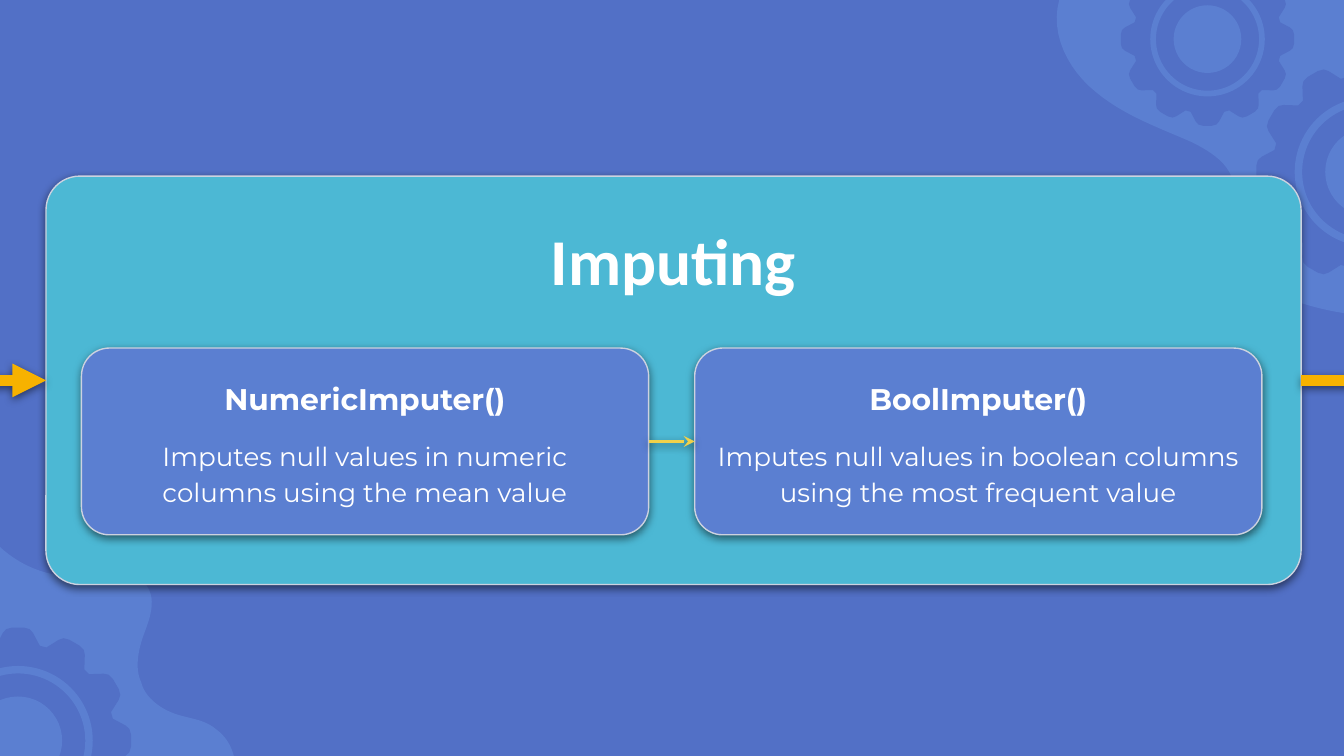
from math import cos, radians, sin

from lxml.etree import SubElement
from pptx import Presentation
from pptx.dml.color import RGBColor
from pptx.enum.shapes import MSO_CONNECTOR, MSO_SHAPE
from pptx.enum.text import MSO_ANCHOR, MSO_AUTO_SIZE, PP_ALIGN
from pptx.oxml.ns import qn
from pptx.util import Cm, Pt

INDIGO = RGBColor(0x52, 0x70, 0xC6)
PERIWINKLE = RGBColor(0x5B, 0x7F, 0xD1)
TEAL = RGBColor(0x4C, 0xB8, 0xD4)
SILVER = RGBColor(0xCC, 0xD2, 0xE0)
ORANGE = RGBColor(0xF7, 0xB2, 0x00)
YELLOW = RGBColor(0xF0, 0xD1, 0x4A)
WHITE = RGBColor(0xFF, 0xFF, 0xFF)

WIDTH, HEIGHT = 25.4, 14.29
PANEL = (0.87, 3.33, 23.72, 7.72)
CARD_LEFTS, CARD_TOP, CARD_WIDTH, CARD_HEIGHT = (1.54, 13.13), 6.58, 10.72, 3.53
CARDS = [
    ("NumericImputer()", "Imputes null values in numeric columns using the mean value"),
    ("BoolImputer()", "Imputes null values in boolean columns using the most frequent value"),
]

# Each curve: two control points and an end point, in cm.
TOP_BLOB = [
    ((19.84, 0.64), (20.19, 1.32), (20.7, 1.73)),
    ((21.23, 2.18), (21.89, 2.41), (22.53, 2.69)),
    ((22.89, 2.87), (23.29, 3.12), (23.32, 3.53)),
    ((23.34, 3.86), (23.09, 4.17), (23.09, 4.5)),
    ((23.09, 4.95), (23.52, 5.28), (23.93, 5.46)),
    ((24.38, 5.69), (24.89, 5.84), (WIDTH, 5.92)),
]
BOTTOM_BLOB = [
    ((4.37, 14.1), (4.27, 13.92), (4.09, 13.79)),
    ((3.86, 13.59), (3.58, 13.59), (3.3, 13.49)),
    ((3.02, 13.39), (2.74, 13.18), (2.67, 12.9)),
    ((2.54, 12.62), (2.62, 12.27), (2.72, 11.99)),
    ((2.84, 11.68), (2.95, 11.35), (2.79, 11.1)),
    ((2.67, 10.87), (2.46, 10.82), (2.21, 10.82)),
    ((1.93, 10.82), (1.7, 10.9), (1.45, 10.9)),
    ((0.84, 10.9), (0.36, 10.67), (0, 10.34)),
]
GEARS = [(25.88, 3.25, 2.14), (22.82, 0.74, 1.64), (0.34, 14, 2.14)]
TEETH = 12
# Angle from the tooth's middle, and distance as a share of the radius.
TOOTH = [(-13, 0.86), (-8, 0.96), (-6, 0.99), (-3, 1), (3, 1), (6, 0.99), (8, 0.96), (13, 0.86)]


def paint(shape, color):
    shape.shadow.inherit = False
    shape.fill.solid()
    shape.fill.fore_color.rgb = color
    shape.line.fill.background()


def add_outline(page, points, color):
    start, *rest = [(Cm(x), Cm(y)) for x, y in points]
    builder = page.shapes.build_freeform(*start)
    builder.add_line_segments(rest, close=True)
    paint(builder.convert_to_shape(), color)


def add_blob(page, start, curves, corner):
    """Sample the cubic curves from start, then close through the slide corner."""
    points = [start]
    for first, second, end in curves:
        begin = points[-1]
        for step in range(1, 13):
            t = step / 12
            weights = ((1 - t) ** 3, 3 * t * (1 - t) ** 2, 3 * t * t * (1 - t), t ** 3)
            points.append(tuple(
                sum(weight * value for weight, value in zip(weights, values))
                for values in zip(begin, first, second, end)))
    add_outline(page, points + [corner], PERIWINKLE)


def add_round(page, kind, x, y, radius):
    shape = page.shapes.add_shape(
        kind, Cm(x - radius), Cm(y - radius), Cm(2 * radius), Cm(2 * radius))
    paint(shape, PERIWINKLE)
    return shape


def add_gear(page, x, y, radius):
    points = []
    for tooth in range(TEETH):
        for offset, share in TOOTH:
            angle = radians(tooth * 360 / TEETH + offset)
            points.append((x + radius * share * sin(angle), y - radius * share * cos(angle)))
    add_outline(page, points, INDIGO)
    ring = add_round(page, MSO_SHAPE.DONUT, x, y, radius * 0.66)
    ring.adjustments[0] = 0.05
    add_round(page, MSO_SHAPE.OVAL, x, y, radius * 0.39)


def add_shadow(shape):
    """Put a soft shadow below; call it once the line is set."""
    properties = shape._element.spPr
    effects = properties.find(qn("a:effectLst"))
    if effects is None:
        effects = SubElement(properties, qn("a:effectLst"))
    shadow = SubElement(effects, qn("a:outerShdw"), blurRad=str(Pt(4.5)),
                        dist=str(Pt(1.5)), dir="5400000", algn="bl", rotWithShape="0")
    color = SubElement(shadow, qn("a:srgbClr"), val="000000")
    SubElement(color, qn("a:alpha"), val="50000")


def add_panel(page, bounds, color, corner):
    panel = page.shapes.add_shape(MSO_SHAPE.ROUNDED_RECTANGLE, *map(Cm, bounds))
    panel.adjustments[0] = corner
    paint(panel, color)
    panel.line.color.rgb = SILVER
    panel.line.width = Pt(0.75)
    add_shadow(panel)
    return panel


def format_frame(frame, anchor):
    values = {"word_wrap": True, "vertical_anchor": anchor, "margin_left": Cm(0.25),
              "margin_right": Cm(0.25), "margin_top": Cm(0.25), "margin_bottom": Cm(0.25)}
    for name, value in values.items():
        setattr(frame, name, value)


def write(para, text, font, size, bold, **spacing):
    span = para.add_run()
    span.text = text
    span.font.color.rgb = WHITE
    for name, value in {"name": font, "size": Pt(size), "bold": bold}.items():
        setattr(span.font, name, value)
    for name, value in {"alignment": PP_ALIGN.CENTER, **spacing}.items():
        setattr(para, name, value)


def add_title(page):
    title = page.shapes.title
    bounds = {"left": 1.35, "top": 3.91, "width": 22.76, "height": 2.01}
    for name, value in bounds.items():
        setattr(title, name, Cm(value))
    frame = title.text_frame
    format_frame(frame, MSO_ANCHOR.TOP)
    frame.auto_size = MSO_AUTO_SIZE.SHAPE_TO_FIT_TEXT
    write(frame.paragraphs[0], "Imputing", "Calibri", 35, True, space_before=Pt(0))
    title.element.getparent().append(title.element)  # in front of the panel


def add_card(page, left, heading, detail):
    card = add_panel(page, (left, CARD_TOP, CARD_WIDTH, CARD_HEIGHT), PERIWINKLE, 0.15)
    frame = card.text_frame
    format_frame(frame, MSO_ANCHOR.MIDDLE)
    write(frame.paragraphs[0], heading, "Montserrat", 16, True, line_spacing=1.15)
    write(frame.add_paragraph(), detail, "Montserrat", 14, False,
          line_spacing=1.15, space_before=Pt(10), space_after=Pt(10))
    return card


def add_arrow(page, kind, start, end, y, color, weight, head):
    arrow = page.shapes.add_connector(kind, Cm(start), Cm(y), Cm(end), Cm(y))
    arrow.line.color.rgb = color
    arrow.line.width = Pt(weight)
    SubElement(arrow.line._get_or_add_ln(), qn("a:tailEnd"), type=head)
    add_shadow(arrow)
    return arrow


def main():
    deck = Presentation()
    deck.slide_width, deck.slide_height = Cm(WIDTH), Cm(HEIGHT)
    page = deck.slides.add_slide(deck.slide_layouts[5])
    page.background.fill.solid()
    page.background.fill.fore_color.rgb = INDIGO

    add_blob(page, (20.02, 0), TOP_BLOB, (WIDTH, 0))
    add_blob(page, (4.42, HEIGHT), BOTTOM_BLOB, (0, HEIGHT))
    for gear in GEARS:
        add_gear(page, *gear)

    panel = add_panel(page, PANEL, TEAL, 0.083)
    add_title(page)
    first, second = [add_card(page, left, *card) for left, card in zip(CARD_LEFTS, CARDS)]

    left, top, width, height = PANEL
    middle = top + height / 2
    flow = (middle, ORANGE, 6, "triangle")
    arrow_in = add_arrow(page, MSO_CONNECTOR.STRAIGHT, -0.79, left, *flow)
    arrow_in.end_connect(panel, 1)
    arrow_out = add_arrow(page, MSO_CONNECTOR.STRAIGHT, left + width, 26.26, *flow)
    arrow_out.begin_connect(panel, 3)
    link = add_arrow(page, MSO_CONNECTOR.CURVE, CARD_LEFTS[0] + CARD_WIDTH, CARD_LEFTS[1],
                     CARD_TOP + CARD_HEIGHT / 2, YELLOW, 1.5, "stealth")
    link.begin_connect(first, 3)
    link.end_connect(second, 1)

    deck.save("out.pptx")


if __name__ == "__main__":
    main()
